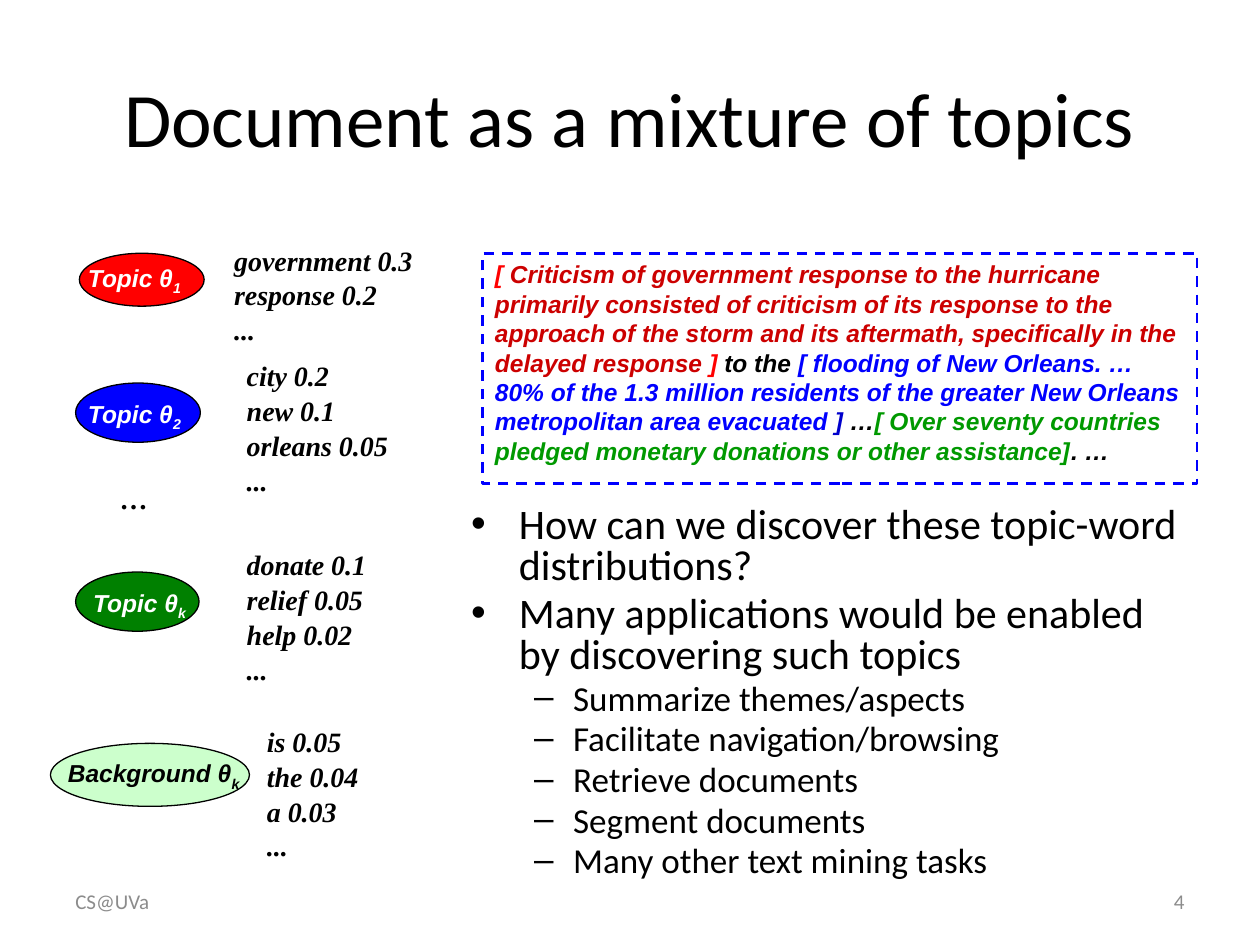
from lxml.etree import SubElement
from pptx import Presentation
from pptx.dml.color import RGBColor
from pptx.enum.dml import MSO_LINE
from pptx.enum.shapes import MSO_SHAPE as Shape
from pptx.enum.text import MSO_ANCHOR as Anchor, PP_ALIGN as Align
from pptx.oxml.ns import qn
from pptx.util import Pt

PX = 9144
COLORS = {
    "black": "000000", "white": "FFFFFF", "gray": "8C8C8C",
    "red": "FF0000", "crimson": "CC0000", "blue": "0000FF", "navy": "0000CC",
    "green": "008000", "leaf": "009900", "mint": "CCFFCC",
}
SANS, ARIAL, SERIF = "Calibri", "Arial", "Times New Roman"

TOPICS = [
    ("Topic θ", "1", "red", "white", (63, 201, 99, 42), (-3, 3, 134, 33),
     (113, -13, 168, 91), ["government 0.3", "response 0.2", "..."]),
    ("Topic θ", "2", "blue", "white", (60, 304, 99, 47), (0, 8, 134, 33),
     (126, -24, 149, 118), ["city 0.2", "new 0.1", "orleans 0.05", "..."]),
    ("Topic θ", "k", "green", "white", (60, 454, 98, 47), (4, 8, 117, 33),
     (126, -24, 149, 118), ["donate 0.1", "relief 0.05", "help 0.02", "..."]),
    ("Background θ", "k", "mint", "black", (40, 590, 158, 50), (4, 7, 167, 49),
     (162, -20, 134, 118), ["is 0.05", "the 0.04", "a 0.03", "..."]),
]
STORY = [
    ("[ ", "red"),
    ("Criticism of government response to the hurricane primarily consisted of "
     "criticism of its response to the approach of the storm and its aftermath, "
     "specifically in the delayed response", "crimson"),
    (" ]", "red"),
    (" to the ", "black"),
    ("[ flooding of New Orleans. … 80% of the 1.3 million residents of the "
     "greater New Orleans metropolitan area evacuated ", "blue"),
    ("]", "navy"),
    (" …", "black"),
    ("[ Over seventy countries pledged monetary donations or other assistance]", "leaf"),
    (". …", "black"),
]
QUESTIONS = [
    (0, "How can we discover these topic-word distributions?"),
    (0, "Many applications would be enabled by discovering such topics"),
    (1, "Summarize themes/aspects"),
    (1, "Facilitate navigation/browsing"),
    (1, "Retrieve documents"),
    (1, "Segment documents"),
    (1, "Many other text mining tasks"),
]
LEVELS = [("•", 24, 38, 38), ("–", 20, 81, 31)]


def scaled(box):
    """Turn a box in px into EMU."""
    return [value * PX for value in box]


def color(name):
    """Look up a named colour."""
    return RGBColor.from_string(COLORS[name])


def within(box, offset):
    """Place an offset box relative to the corner of another."""
    return box[0] + offset[0], box[1] + offset[1], offset[2], offset[3]


def write(para, text, font=SANS, size=14, fill="black", strong=False, baseline=0):
    """Add a formatted span; strong means bold italic."""
    span = para.add_run()
    span.text = text
    span.font.name, span.font.size = font, Pt(size)
    span.font.bold = span.font.italic = strong
    span.font.color.rgb = color(fill)
    if baseline:
        span._r.get_or_add_rPr().set("baseline", str(baseline * 1000))


def add_text_frame(page, box, anchor=Anchor.TOP):
    """Add a wrapping text box and return its frame."""
    frame = page.shapes.add_textbox(*scaled(box)).text_frame
    frame.word_wrap = True
    frame.vertical_anchor = anchor
    return frame


def add_outline(page, kind, box, line, width, fill=None):
    """Add a flat preset shape with an outline."""
    shape = page.shapes.add_shape(kind, *scaled(box))
    shape.shadow.inherit = False
    if fill:
        shape.fill.solid()
        shape.fill.fore_color.rgb = color(fill)
    else:
        shape.fill.background()
    shape.line.color.rgb = color(line)
    shape.line.width = Pt(width)
    return shape


def add_title(page, box, text):
    """Move and fill the title placeholder."""
    title = page.shapes.title
    title.left, title.top, title.width, title.height = scaled(box)
    title.text_frame.vertical_anchor = Anchor.MIDDLE
    para = title.text_frame.paragraphs[0]
    para.alignment = Align.CENTER
    write(para, text, size=44)


def add_words(page, box, lines):
    """List word probabilities, one line each."""
    frame = add_text_frame(page, box)
    for index, line in enumerate(lines):
        para = frame.add_paragraph() if index else frame.paragraphs[0]
        if index:
            para.space_before = Pt(0.7)
        write(para, line, font=SERIF, size=16, strong=True)


def add_topic(page, box, label, subscript, fill, ink, label_box, words_box, words):
    """Draw a topic ellipse with its label and word list."""
    add_outline(page, Shape.OVAL, box, "black", 0.75, fill)
    para = add_text_frame(page, within(box, label_box)).paragraphs[0]
    write(para, label, font=ARIAL, fill=ink, strong=True)
    write(para, subscript, font=ARIAL, fill=ink, strong=True, baseline=-25)
    add_words(page, within(box, words_box), words)


def add_story(page, box, parts):
    """Draw the dashed document box with spans coloured by topic."""
    shape = add_outline(page, Shape.RECTANGLE, box, "blue", 1.5)
    shape.line.dash_style = MSO_LINE.DASH
    frame = shape.text_frame
    frame.word_wrap = True
    frame.vertical_anchor = Anchor.TOP
    para = frame.paragraphs[0]
    para.alignment = Align.LEFT
    for text, fill in parts:
        write(para, text, font=ARIAL, fill=fill, strong=True)


def add_questions(page, box, items):
    """Write the two-level bullet list."""
    frame = add_text_frame(page, box)
    for index, (level, text) in enumerate(items):
        mark, size, margin, hanging = LEVELS[level]
        para = frame.add_paragraph() if index else frame.paragraphs[0]
        para.level = level
        para.line_spacing = 0.8
        if index:
            para.space_before = Pt(size * 0.2)
        props = para._p.get_or_add_pPr()
        props.set("marL", str(margin * PX))
        props.set("indent", str(-hanging * PX))
        SubElement(props, qn("a:buFont")).set("typeface", ARIAL)
        SubElement(props, qn("a:buChar")).set("char", mark)
        write(para, text, size=size)


def add_footer(page, box, text, align):
    """Write one small footer text."""
    para = add_text_frame(page, box, Anchor.MIDDLE).paragraphs[0]
    para.alignment = align
    write(para, text, size=12, fill="gray")


def main():
    """Build and save the deck."""
    deck = Presentation()
    deck.slide_width, deck.slide_height = scaled((1000, 750))
    page = deck.slides.add_slide(deck.slide_layouts[5])
    add_title(page, (50, 30, 900, 125), "Document as a mixture of topics")
    add_questions(page, (364, 398, 588, 327), QUESTIONS)
    for label, subscript, fill, ink, box, label_box, words_box, words in TOPICS:
        add_topic(page, box, label, subscript, fill, ink, label_box, words_box, words)
    add_words(page, (86, 377, 71, 37), ["…"])
    add_story(page, (383, 201, 567, 183), STORY)
    add_footer(page, (50, 695, 233, 40), "CS@UVa", Align.LEFT)
    add_footer(page, (717, 695, 233, 40), "4", Align.RIGHT)
    deck.save("out.pptx")


if __name__ == "__main__":
    main()
